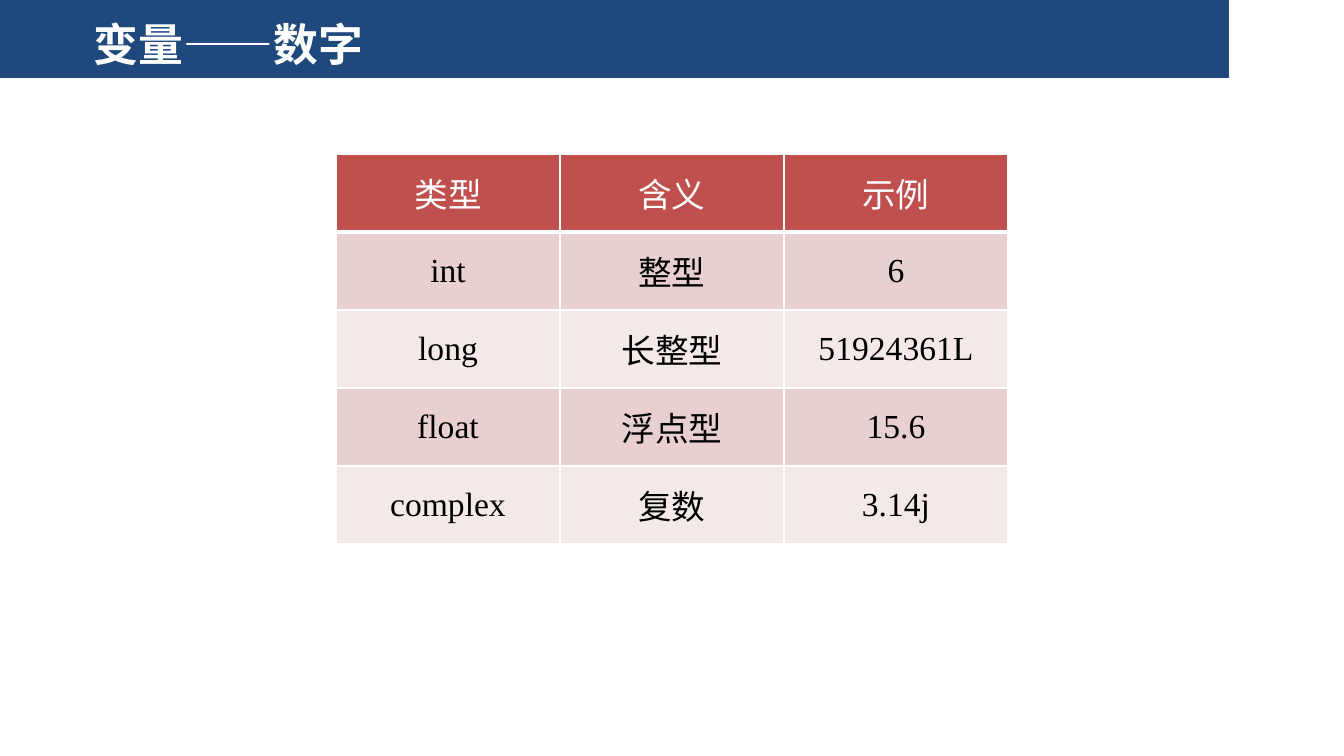
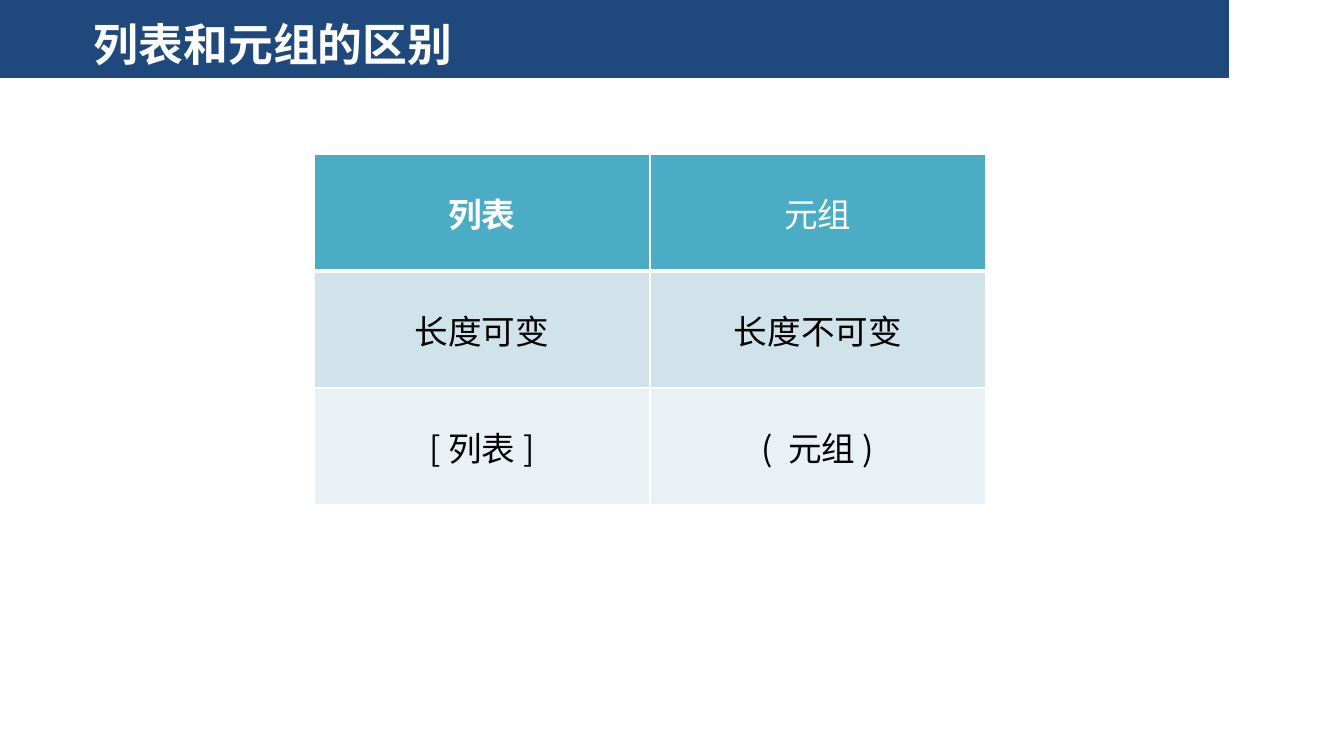
from dataclasses import dataclass

from lxml import etree
from pptx import Presentation, util as u
from pptx.dml.color import RGBColor
from pptx.enum import shapes, text
from pptx.oxml.ns import qn

# Content: title, table frame (left, top, width, row height), look, rows
SLIDES = [
    dict(
        title="变量——数字",
        frame=(336, 154, 672, 78),
        font="Times New Roman",
        fills=("C0504D", "E8D0D0", "F4E9E9"),
        bold_headings=(),
        rows=[
            ("类型", "含义", "示例"),
            ("int", "整型", "6"),
            ("long", "长整型", "51924361L"),
            ("float", "浮点型", "15.6"),
            ("complex", "复数", "3.14j"),
        ],
    ),
    dict(
        title="列表和元组的区别",
        frame=(314, 154, 672, 117),
        font="Noto Sans CJK SC",
        fills=("4BACC6", "D0E3EA", "E9F1F5"),
        bold_headings=("列表",),
        rows=[
            ("列表", "元组"),
            ("长度可变", "长度不可变"),
            ("[ 列表 ]", "(  元组 )"),
        ],
    ),
]


# Shared look
@dataclass(frozen=True)
class Theme:
    band: str = "1F497D"
    light: str = "FFFFFF"
    dark: str = "000000"
    font: str = "Noto Sans CJK SC"
    title_size: int = 32
    table_size: int = 24
    border: int = 1
    heading_border: int = 3


THEME = Theme()
SLIDE_SIZE = (1344, 756)
BAND_FRAME = (0, 0, 1229, 78)
TITLE_FRAME = (84, 8, 1144, 71)


def px(pixels):
    return u.Inches(pixels / 100.8)


def place(frame):
    return [px(length) for length in frame]


def add_run(paragraph, words, size, color, bold=False, font=THEME.font):
    run = paragraph.add_run()
    run.text = words
    run.font.size = u.Pt(size)
    run.font.bold = bold
    run.font.color.rgb = RGBColor.from_string(color)
    run.font.name = font
    east_asian = etree.SubElement(run.font._element, qn("a:ea"))
    east_asian.set("typeface", THEME.font)


# Title band
def add_title(slide, words):
    band = slide.shapes.add_shape(shapes.MSO_SHAPE.RECTANGLE, *place(BAND_FRAME))
    band.shadow.inherit = False
    band.fill.solid()
    band.fill.fore_color.rgb = RGBColor.from_string(THEME.band)
    band.line.fill.background()

    title = slide.shapes.add_textbox(*place(TITLE_FRAME)).text_frame
    title.word_wrap = True
    title.vertical_anchor = text.MSO_ANCHOR.MIDDLE
    add_run(title.paragraphs[0], words, THEME.title_size, THEME.light, bold=True)


# Table
def set_borders(cell, bottom):
    properties = cell._tc.get_or_add_tcPr()
    widths = dict(lnL=THEME.border, lnR=THEME.border, lnT=THEME.border, lnB=bottom)
    for position, (side, width) in enumerate(widths.items()):
        line = etree.Element(qn(f"a:{side}"), w=str(u.Pt(width)))
        fill = etree.SubElement(line, qn("a:solidFill"))
        etree.SubElement(fill, qn("a:srgbClr"), val=THEME.light)
        properties.insert(position, line)


def add_table(slide, frame, font, fills, bold_headings, rows):
    left, top, width, row_height = frame
    columns = len(rows[0])
    table = slide.shapes.add_table(
        len(rows), columns, *place((left, top, width, row_height * len(rows)))
    ).table
    for column in table.columns:
        column.width = px(width / columns)
    for row_index, words_in_row in enumerate(rows):
        table.rows[row_index].height = px(row_height)
        heading = row_index == 0
        fill = fills[0] if heading else fills[2 - row_index % 2]
        for column_index, words in enumerate(words_in_row):
            cell = table.cell(row_index, column_index)
            cell.fill.solid()
            cell.fill.fore_color.rgb = RGBColor.from_string(fill)
            cell.vertical_anchor = text.MSO_ANCHOR.MIDDLE
            set_borders(cell, THEME.heading_border if heading else THEME.border)
            paragraph = cell.text_frame.paragraphs[0]
            paragraph.alignment = text.PP_ALIGN.CENTER
            add_run(
                paragraph, words, THEME.table_size,
                THEME.light if heading else THEME.dark,
                bold=heading and words in bold_headings, font=font,
            )


# Build
presentation = Presentation()
presentation.slide_width, presentation.slide_height = place(SLIDE_SIZE)
for content in SLIDES:
    slide = presentation.slides.add_slide(presentation.slide_layouts[6])
    add_title(slide, content["title"])
    add_table(
        slide, content["frame"], content["font"], content["fills"],
        content["bold_headings"], content["rows"],
    )
presentation.save("out.pptx")
